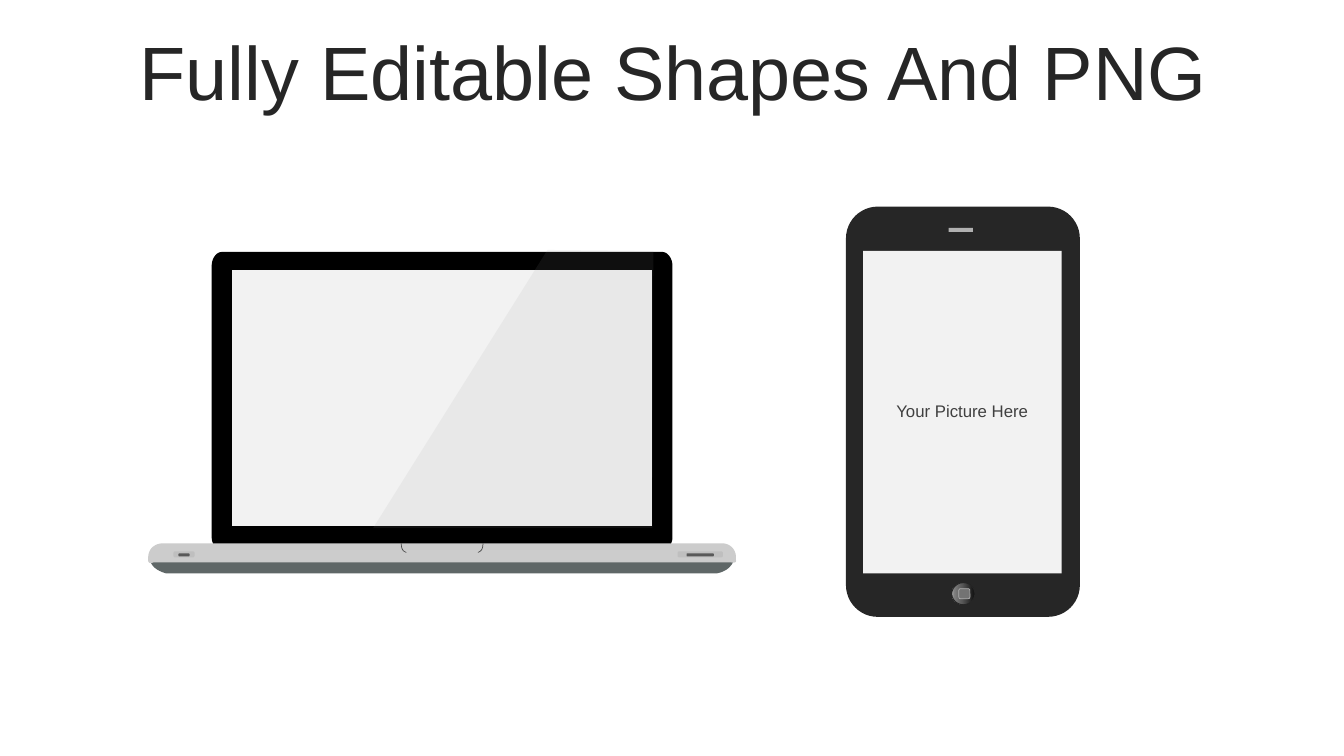
import pptx
import pptx.util
import pptx.dml.color
import pptx.enum.shapes
import pptx.enum.text
import pptx.oxml.ns
import lxml.etree

Inches = pptx.util.Inches
KIND = pptx.enum.shapes.MSO_SHAPE
qn = pptx.oxml.ns.qn


def color(code):
    return pptx.dml.color.RGBColor.from_string(code)


def write(shape, text, size=12, tint="404040", pad=0.1):
    frame = shape.text_frame
    frame.word_wrap = True
    frame.auto_size = pptx.enum.text.MSO_AUTO_SIZE.NONE
    frame.vertical_anchor = pptx.enum.text.MSO_ANCHOR.MIDDLE
    frame.margin_left = frame.margin_right = Inches(pad)
    frame.text = text
    para = frame.paragraphs[0]
    para.alignment = pptx.enum.text.PP_ALIGN.CENTER
    para.line_spacing = 0.9
    para.space_before = pptx.util.Pt(0)
    font = para.runs[0].font
    font.name = "Arial"
    font.size = pptx.util.Pt(size)
    font.bold = False
    font.color.rgb = color(tint)


def style(shape, fill=None, line=None, width=0.5):
    shape.shadow.inherit = False
    if fill:
        shape.fill.solid()
        shape.fill.fore_color.rgb = color(fill)
    else:
        shape.fill.background()
    if line:
        shape.line.color.rgb = color(line)
        shape.line.width = pptx.util.Pt(width)
    else:
        shape.line.fill.background()
    return shape


def block(group, kind, box, fill, round=None, **form):
    shape = group.shapes.add_shape(kind, *map(Inches, box))
    if round is not None:
        shape.adjustments[0] = round
    return style(shape, fill, **form)


def curve(start, ctrl, steps=12):
    """Points of a cubic curve; ctrl holds two handles and the end."""
    pts = [start, ctrl[:2], ctrl[2:4], ctrl[4:]]
    for i in range(1, steps + 1):
        t = i / steps
        mix = ((1 - t) ** 3, 3 * t * (1 - t) ** 2, 3 * t * t * (1 - t), t ** 3)
        yield tuple(sum(m * p[k] for m, p in zip(mix, pts)) for k in (0, 1))


def trace(group, left, top, path, close=True, **form):
    """Outline of points (2 numbers) and curves (6 numbers) from a corner."""
    pts = [path[0]]
    for step in path[1:]:
        pts.extend([step] if len(step) == 2 else curve(pts[-1], step))
    pts = [(Inches(left + x), Inches(top + y)) for x, y in pts]
    pen = group.shapes.build_freeform(*pts[0], scale=1.0)
    pen.add_line_segments(pts[1:], close=close)
    return style(pen.convert_to_shape(), **form)


def shade(shape, stops, angle):
    shape.fill.gradient()
    shape.fill.gradient_angle = angle
    items = shape.fill._fill._gradFill.find(qn("a:gsLst"))
    for old in list(items):
        items.remove(old)
    for place, code in stops:
        stop = lxml.etree.SubElement(items, qn("a:gs"), pos=str(place * 1000))
        lxml.etree.SubElement(stop, qn("a:srgbClr"), val=code)


def head(slide, left, top, width, height):
    title = slide.shapes.title
    title.left, title.top = Inches(left), Inches(top)
    title.width, title.height = Inches(width), Inches(height)
    write(title, "Fully Editable Shapes And PNG", size=54, tint="262626")


def phone(slide, left, top, width, height):
    group = slide.shapes.add_group_shape()
    mid = left + width / 2
    # Body and speaker
    block(group, KIND.ROUNDED_RECTANGLE, (left, top, width, height), "262626", 0.136)
    block(group, KIND.RECTANGLE, (mid - 0.14, top + 0.21, 0.24, 0.04), "B0B0B0")
    # Home button
    home = block(group, KIND.OVAL, (mid - 0.11, top + 3.73, 0.23, 0.22),
                 "595959", line="262626", width=0)
    shade(home, [(0, "0F0F0F"), (56, "595959"), (91, "808080"), (100, "BFBFBF")], 180)
    block(group, KIND.ROUNDED_RECTANGLE, (mid - 0.04, top + 3.79, 0.11, 0.1),
          "737373", line="B0B0B0")
    # Screen
    screen = block(group, KIND.RECTANGLE, (left + 0.17, top + 0.44, 1.97, 3.2), "F2F2F2")
    write(screen, "Your Picture Here")


def laptop(slide, left, top):
    group = slide.shapes.add_group_shape()

    def draw(path, **form):
        return trace(group, left, top, path, **form)

    # Foot
    draw([(5.63, 3.19), (5.63, 3.19, 5.75, 3.18, 5.8, 3.08),
          (5.8, 3.05, 5.77, 3.03, 5.74, 3.03), (0.16, 3.05), (0.09, 3.05),
          (0.06, 3.05, 0.03, 3.07, 0.03, 3.09),
          (0.07, 3.16, 0.15, 3.18, 0.18, 3.19)], fill="5F6767")
    # Lid and screen
    draw([(5.2, 2.83), (5.2, 2.9, 5.15, 2.96, 5.1, 2.96), (0.73, 2.96),
          (0.68, 2.96, 0.63, 2.9, 0.63, 2.83), (0.63, 0.14),
          (0.63, 0.06, 0.68, 0, 0.73, 0), (5.1, 0),
          (5.15, 0, 5.2, 0.06, 5.2, 0.14)], fill="000000")
    draw([(0.83, 0.18), (5, 0.18), (5, 2.72), (0.83, 2.72)], fill="F2F2F2")
    # Base
    draw([(0.15, 2.89), (5.69, 2.89), (5.77, 2.89, 5.83, 2.95, 5.83, 3.03),
          (5.83, 3.06), (5.83, 3.06, 5.84, 3.09, 5.78, 3.08), (0.05, 3.08),
          (0.03, 3.09, 0, 3.09, 0, 3.06), (0, 3.03),
          (0, 2.95, 0.06, 2.89, 0.15, 2.89)], fill="CCCCCC")
    # Notch edges
    for x, way in ((2.51, 1), (3.32, -1)):
        draw([(x, 2.89), (x, 2.95, x + way * 0.02, 2.97, x + way * 0.05, 2.98)],
             close=False, line="4D4D4D")
    # Ports
    for x, wide, gap in ((0.25, 0.21, 0.05), (5.25, 0.45, 0.09)):
        for inset, drop, high, fill in ((0, 2.97, 0.06, "BFBFBF"),
                                        (gap, 2.99, 0.03, "595959")):
            block(group, KIND.ROUNDED_RECTANGLE,
                  (left + x + inset, top + drop, wide - 2 * inset, high), fill, 0.28)
    # Glare
    glare = draw([(3.96, -0.02), (5.01, -0.01), (5, 2.74), (2.23, 2.74)], fill="999999")
    tint = glare.fill._xPr.find(qn("a:solidFill"))[0]
    lxml.etree.SubElement(tint, qn("a:alpha"), val="10000")


def main():
    deck = pptx.Presentation()
    deck.slide_width, deck.slide_height = Inches(13.33), Inches(7.5)
    slide = deck.slides.add_slide(deck.slide_layouts[5])
    head(slide, 0.35, 0.36, 12.66, 0.79)
    phone(slide, 8.39, 2.05, 2.32, 4.07)
    laptop(slide, 1.47, 2.5)
    deck.save("out.pptx")


if __name__ == "__main__":
    main()
